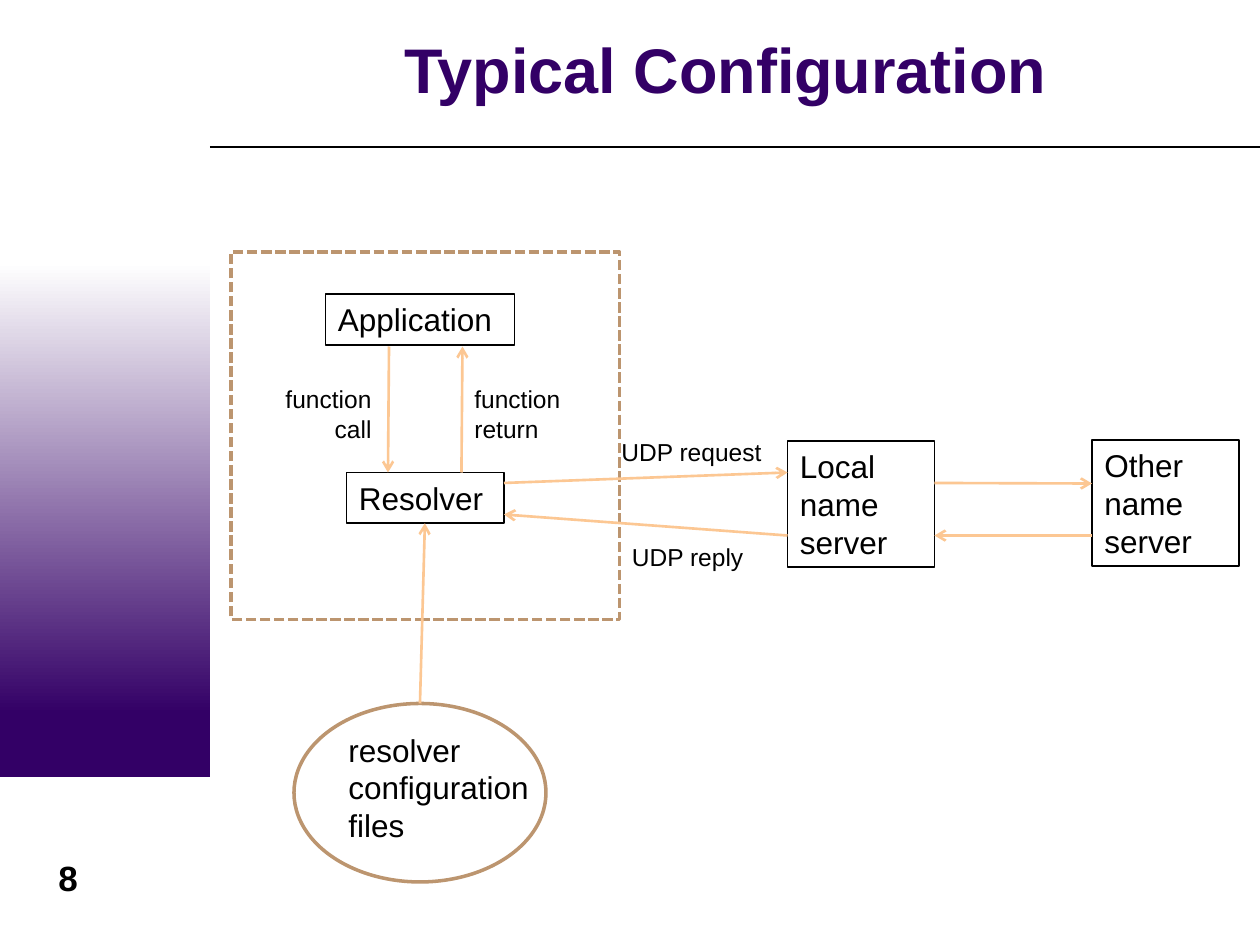
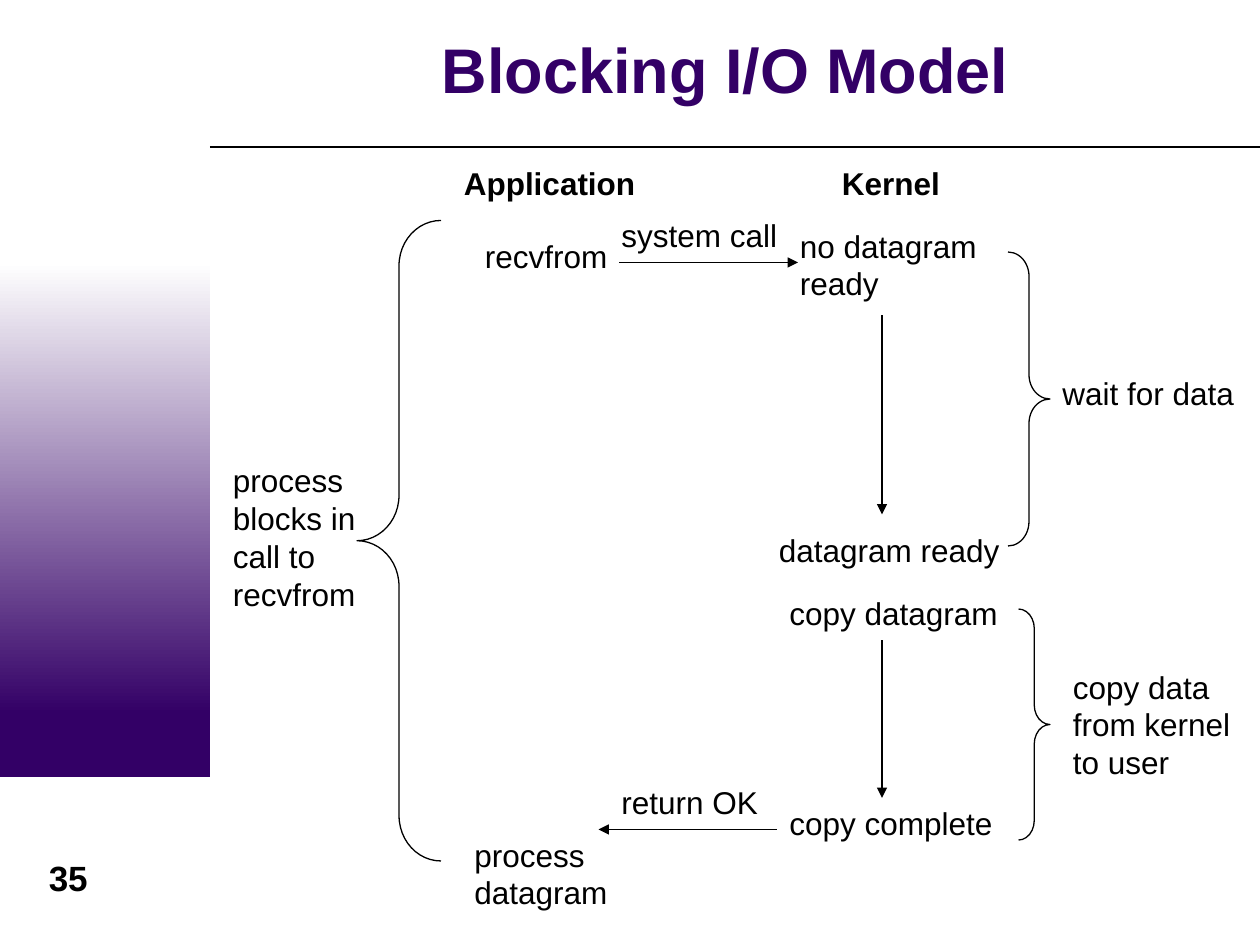
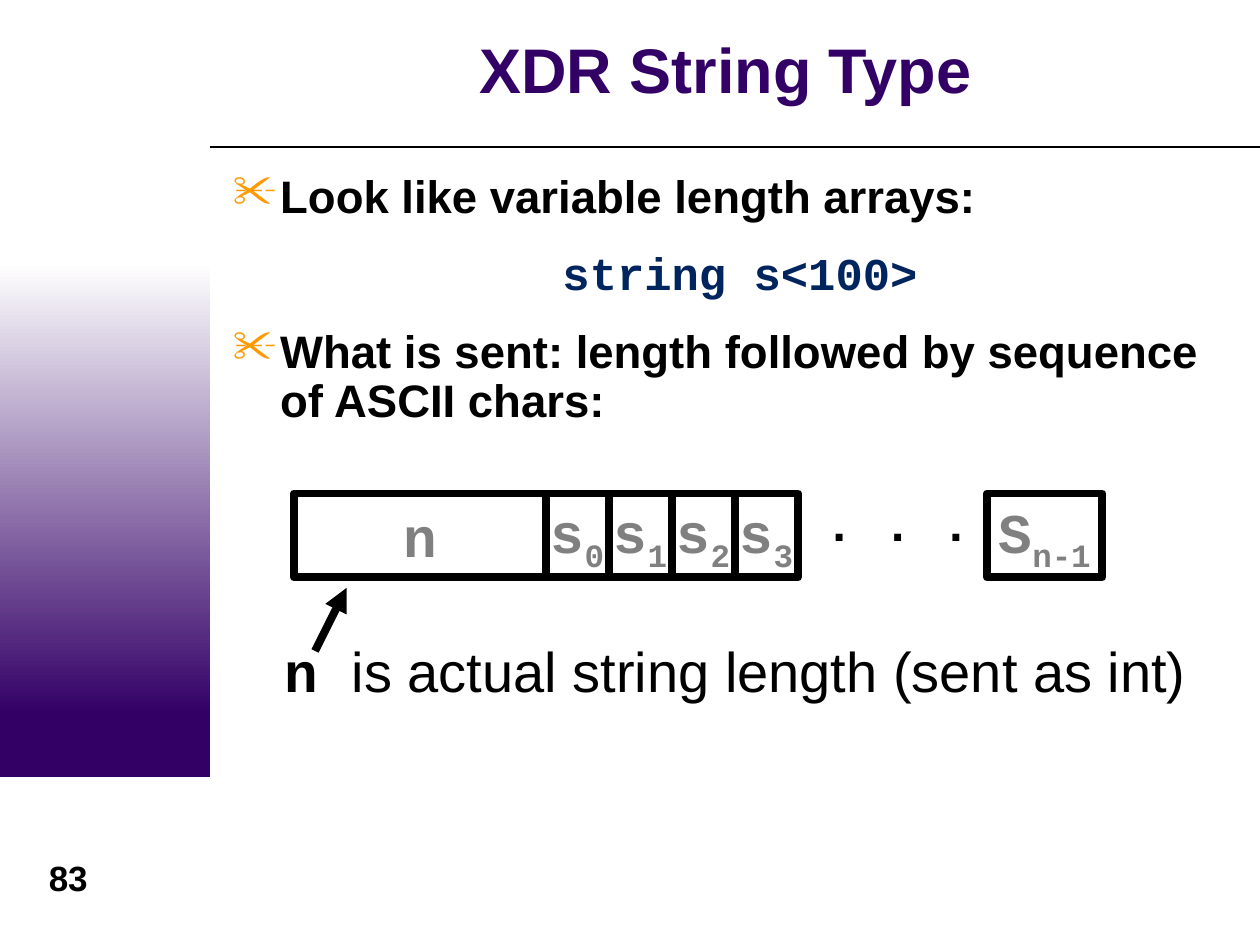
import lxml.etree
import pptx
import pptx.dml.color
import pptx.enum.dml
import pptx.enum.shapes
import pptx.enum.text
import pptx.oxml.ns
import pptx.util

Pt = pptx.util.Pt
SHAPE = pptx.enum.shapes.MSO_SHAPE
ALIGN = pptx.enum.text.PP_ALIGN
ANCHOR = pptx.enum.text.MSO_ANCHOR

PURPLE, BLACK, WHITE = "330066", "000000", "FFFFFF"
TAN, PEACH, GRAY, NAVY, ORANGE = "BC956F", "FCC793", "808080", "00245D", "FF9900"
SANS, MONO = "Arial", "Courier New"


def rgb(color):
    return pptx.dml.color.RGBColor.from_string(color)


def add_child(parent, tag, **attrs):
    return lxml.etree.SubElement(parent, pptx.oxml.ns.qn(tag), attrs)


def add_run(p, text, size=18, font=SANS, color=BLACK, bold=False, subscript=False):
    r = p.add_run()
    r.text = text
    r.font.size, r.font.name, r.font.bold = Pt(size), font, bold
    r.font.color.rgb = rgb(color)
    if subscript:
        r.font._element.set("baseline", "-25000")
    return r


def write(tf, text, align=ALIGN.LEFT, anchor=ANCHOR.TOP, wrap=True, **fmt):
    """Fill an empty frame, one paragraph for each line of text."""
    tf.word_wrap, tf.vertical_anchor = wrap, anchor
    for i, line in enumerate(text.split("\n")):
        p = tf.add_paragraph() if i else tf.paragraphs[0]
        p.alignment = align
        add_run(p, line, **fmt)


def add_label(slide, text, x, y, w, h, **fmt):
    sp = slide.shapes.add_textbox(Pt(x), Pt(y), Pt(w), Pt(h))
    write(sp.text_frame, text, **fmt)
    return sp


def add_figure(slide, kind, x, y, w, h, line=None, width=1.0, fill=None):
    sp = slide.shapes.add_shape(kind, Pt(x), Pt(y), Pt(w), Pt(h))
    sp.shadow.inherit = False
    if fill:
        sp.fill.solid()
        sp.fill.fore_color.rgb = rgb(fill)
    else:
        sp.fill.background()
    if line:
        sp.line.color.rgb, sp.line.width = rgb(line), Pt(width)
    else:
        sp.line.fill.background()
    return sp


def add_node(slide, text, x, y, w, h):
    sp = add_figure(slide, SHAPE.RECTANGLE, x, y, w, h, line=BLACK)
    write(sp.text_frame, text)


def add_cell(slide, text, index, x, w):
    """Draw one field of the string encoding, with its index as a subscript."""
    sp = add_figure(slide, SHAPE.RECTANGLE, x, 282, w, 48, BLACK, 4.5, WHITE)
    fmt = dict(size=32, font=MONO, color=GRAY, bold=True)
    write(sp.text_frame, text, ALIGN.CENTER, ANCHOR.MIDDLE, wrap=False, **fmt)
    if index:
        add_run(sp.text_frame.paragraphs[0], index, subscript=True, **fmt)


def add_brace(slide, kind, x, y, w, h, curl):
    sp = add_figure(slide, kind, x, y, w, h, line=BLACK, width=0.75)
    sp.adjustments[0] = curl


def add_line(slide, x1, y1, x2, y2, color=BLACK, width=0.75, head=None):
    cx = slide.shapes.add_connector(
        pptx.enum.shapes.MSO_CONNECTOR.STRAIGHT, Pt(x1), Pt(y1), Pt(x2), Pt(y2))
    cx.line.color.rgb, cx.line.width = rgb(color), Pt(width)
    if head:
        add_child(cx.line._get_or_add_ln(), "a:tailEnd", type=head)
    add_child(cx._element.spPr, "a:effectLst")


def add_bullet(p):
    pPr = p._p.get_or_add_pPr()
    color = add_child(pPr, "a:buClr")
    add_child(color, "a:srgbClr", val=ORANGE)
    add_child(pPr, "a:buChar", char="✂")


def add_slide(prs, title, number):
    """Add a slide with the side band, title, rule and slide number."""
    slide = prs.slides.add_slide(prs.slide_layouts[5])
    add_figure(slide, SHAPE.RECTANGLE, 0, 396, 120, 48, fill=PURPLE)
    band = add_figure(slide, SHAPE.RECTANGLE, 0, 150, 120, 258)
    band.fill.gradient()
    band.fill.gradient_angle = 270
    for stop, color in zip(band.fill.gradient_stops, (WHITE, PURPLE)):
        stop.color.rgb = rgb(color)
    add_line(slide, 120, 84, 720, 84)
    add_label(slide, str(number), 12, 486, 54, 32, align=ALIGN.CENTER, size=20, bold=True)

    sp = slide.shapes.title
    sp.left, sp.top, sp.width, sp.height = Pt(129.6), Pt(8), Pt(570), Pt(69)
    tf = sp.text_frame
    tf.auto_size = pptx.enum.text.MSO_AUTO_SIZE.NONE
    tf.margin_top = tf.margin_bottom = 0
    write(tf, title, ALIGN.CENTER, ANCHOR.MIDDLE, size=36, color=PURPLE, bold=True)
    tf.paragraphs[0].line_spacing = 0.85
    return slide


def build_configuration(prs):
    slide = add_slide(prs, "Typical Configuration", 8)
    host = add_figure(slide, SHAPE.RECTANGLE, 132, 144, 222, 210, TAN, 2)
    host.line.dash_style = pptx.enum.dml.MSO_LINE.SQUARE_DOT
    for text, x, y, w, h in (
        ("Application", 186, 168, 108, 29),
        ("Resolver", 198, 270, 90, 29),
        ("Local name server", 450, 252, 84, 72),
        ("Other name server", 624, 251.3, 84, 72),
    ):
        add_node(slide, text, x, y, w, h)
    for text, x, y, w, h, align in (
        ("function\ncall", 156, 216, 63.4, 41, ALIGN.RIGHT),
        ("function\nreturn", 264, 216, 63.4, 41, ALIGN.LEFT),
        ("UDP request", 348, 246, 94.5, 24, ALIGN.LEFT),
        ("UDP reply", 354, 306, 78.5, 24, ALIGN.LEFT),
    ):
        add_label(slide, text, x, y, w, h, align=align, wrap=False, size=14)
    add_label(slide, "resolver configuration files", 192, 414, 120, 72)
    add_figure(slide, SHAPE.OVAL, 168, 402, 144, 102, TAN, 2)
    for ends in (
        (222.3, 198, 221.7, 270),
        (263.7, 270, 264.3, 198),
        (240, 402, 242.8, 299),
        (288, 276, 450, 270),
        (450, 306, 288, 294),
        (534, 276, 624, 276.3),
        (624, 306, 534, 306),
    ):
        add_line(slide, *ends, color=PEACH, width=1.5, head="arrow")


def build_blocking(prs):
    slide = add_slide(prs, "Blocking I/O Model", 35)
    for text, x, w in (("Application", 258, 144), ("Kernel", 474, 102)):
        add_label(slide, text, x, 90, w, 29, bold=True)
    for text, x, y, w, h in (
        ("process blocks in call to recvfrom", 126, 260, 96, 94),
        ("recvfrom", 270, 132, 102, 29),
        ("process datagram", 264, 474, 126, 50),
        ("no datagram ready", 450, 126, 120, 50),
        ("system call", 348, 120, 132, 29),
        ("return OK", 348, 444, 126, 29),
        ("datagram ready", 438, 300, 150, 29),
        ("copy datagram", 444, 336, 144, 29),
        ("copy complete", 444, 456, 144, 29),
        ("copy data from kernel to user", 606, 378, 114, 72),
        ("wait for data", 600, 210, 114, 29),
    ):
        add_label(slide, text, x, y, w, h)
    add_brace(slide, SHAPE.LEFT_BRACE, 204, 126, 48, 366, 0.54)
    add_brace(slide, SHAPE.RIGHT_BRACE, 576, 144, 24, 168, 0.58)
    add_brace(slide, SHAPE.RIGHT_BRACE, 582, 348, 18, 132, 0.62)
    for ends in (
        (354, 150, 456, 150),
        (444, 474, 342, 474),
        (504, 180, 504, 294),
        (504, 366, 504, 456),
    ):
        add_line(slide, *ends, head="triangle")


def build_string_type(prs):
    slide = add_slide(prs, "XDR String Type", 83)
    declaration = "string s<100>"
    points = ("Look like variable length arrays:", declaration,
              "What is sent: length followed by sequence of ASCII chars:")
    tf = slide.shapes.add_textbox(Pt(126), Pt(96), Pt(594), Pt(366)).text_frame
    tf.word_wrap = True
    for i, text in enumerate(points):
        p = tf.add_paragraph() if i else tf.paragraphs[0]
        p.line_spacing, p.space_after = 0.9, Pt(8.1)
        if i:
            p.space_before = Pt(8.1)
        pPr = p._p.get_or_add_pPr()
        pPr.set("marL", str(Pt(27)))
        pPr.set("indent", str(-Pt(27)))
        if text == declaration:
            p.alignment = ALIGN.CENTER
            add_run(p, text, size=26, font=MONO, color=NAVY, bold=True)
        else:
            add_bullet(p)
            add_run(p, text, size=26, bold=True)

    add_label(slide, ". . .", 456, 258, 114, 48, align=ALIGN.CENTER, anchor=ANCHOR.MIDDLE,
              wrap=False, size=48, font=MONO, bold=True, subscript=True)
    add_cell(slide, "n", "", 168, 144)
    for i in range(4):
        add_cell(slide, "s", str(i), 312 + 36 * i, 36)
    add_cell(slide, "S", "n-1", 564, 66)
    note = add_label(slide, "n ", 155.5, 360, 530, 46, wrap=False,
                     size=32, font=MONO, bold=True)
    add_run(note.text_frame.paragraphs[0], "is actual string length (sent as int)", size=32)
    add_line(slide, 180, 372, 198, 336, width=4.5, head="triangle")


def main():
    prs = pptx.Presentation()
    prs.slide_width, prs.slide_height = Pt(720), Pt(540)
    build_configuration(prs)
    build_blocking(prs)
    build_string_type(prs)
    prs.save("out.pptx")


if __name__ == "__main__":
    main()
